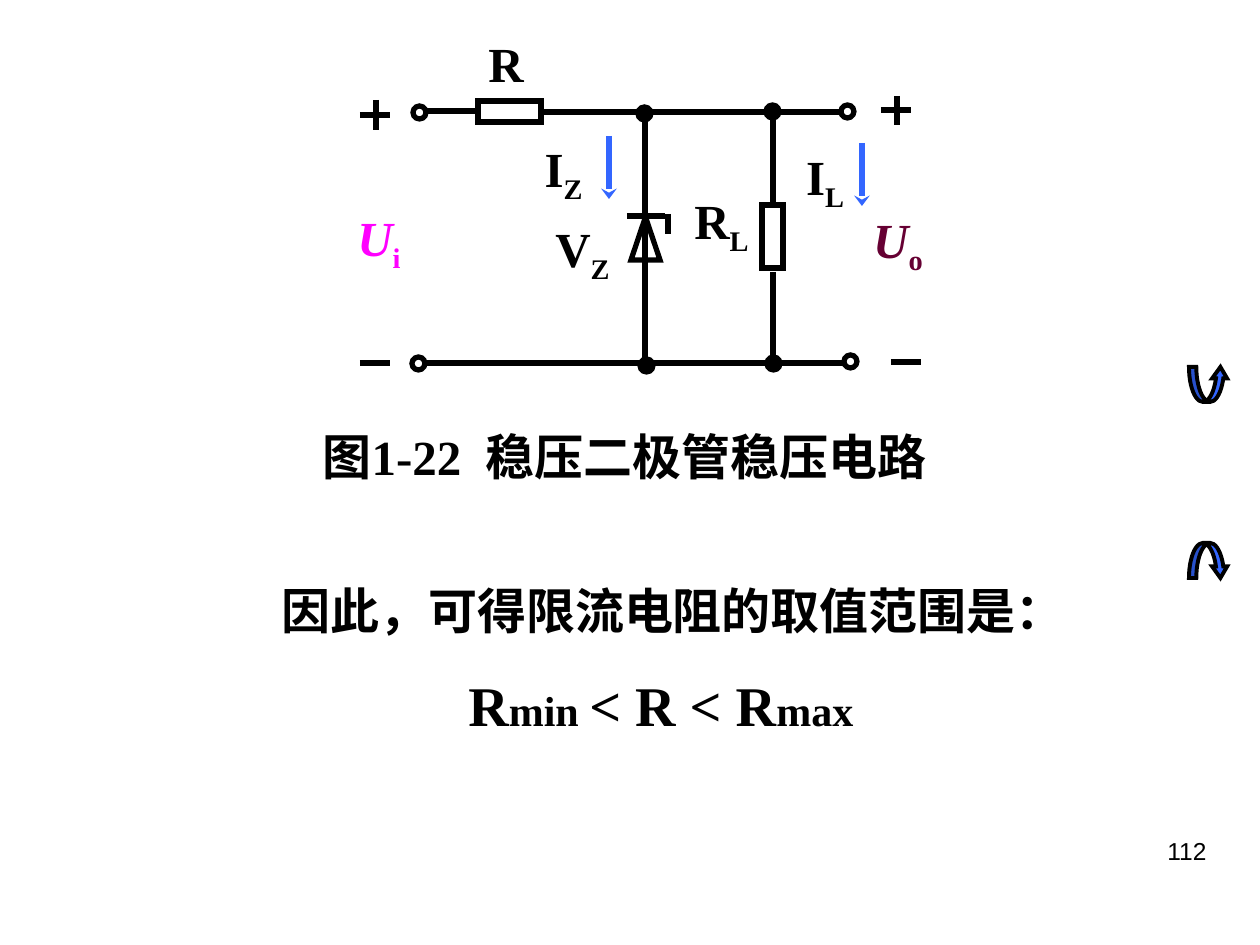
from typing import NamedTuple

from lxml.etree import SubElement
from pptx import Presentation
from pptx.dml.color import RGBColor
from pptx.enum.shapes import MSO_CONNECTOR, MSO_SHAPE
from pptx.enum.text import MSO_ANCHOR, PP_ALIGN
from pptx.oxml.ns import qn
from pptx.util import Emu, Pt

EMU_PER_PX = 914400 / 126

BLACK = RGBColor(0x00, 0x00, 0x00)
BLUE = RGBColor(0x33, 0x66, 0xFF)
MAGENTA = RGBColor(0xFF, 0x00, 0xFF)
MAROON = RGBColor(0x66, 0x00, 0x33)

LINE_WIDTH = 3
DOT_SIZE = 13


class Box(NamedTuple):
    left: int
    top: int
    width: int
    height: int


class Line(NamedTuple):
    x1: int
    y1: int
    x2: int
    y2: int


class Label(NamedTuple):
    symbol: str
    subscript: str
    box: Box
    color: RGBColor = BLACK
    italic: bool = False


WIRES = [
    Line(541, 112, 844, 112),  # top rail, right of R
    Line(425, 111, 478, 111),  # top rail, left of R
    Line(425, 363, 844, 363),  # bottom rail
    Line(645, 111, 645, 363),  # diode branch
    Line(773, 111, 773, 205),  # load branch above RL
    Line(773, 272, 773, 363),  # load branch below RL
]
DIODE_BARS = [Line(627, 216, 665, 216), Line(668, 214, 668, 234)]
POLARITY_SIGNS = [
    Line(360, 115, 390, 115), Line(376, 100, 376, 130),  # input plus
    Line(360, 363, 390, 363),  # input minus
    Line(881, 110, 911, 110), Line(897, 96, 897, 125),  # output plus
    Line(891, 362, 921, 362),  # output minus
]
CURRENT_ARROWS = [Line(609, 136, 609, 199), Line(862, 143, 862, 206)]

RESISTORS = [Box(478, 101, 63, 21), Box(762, 205, 21, 63)]
DIODE_BODY = Box(631, 217, 29, 43)
TERMINALS = [(413, 106), (412, 357), (841, 105), (844, 355)]
JUNCTIONS = [(638, 107), (640, 359), (766, 105), (767, 357)]

LABELS = [
    Label("R", "", Box(466, 27, 80, 72)),
    Label("I", "Z", Box(523, 132, 81, 79)),
    Label("V", "Z", Box(533, 212, 99, 79)),
    Label("I", "L", Box(780, 140, 90, 79)),
    Label("R", "L", Box(671, 184, 101, 79)),
    Label("U", "i", Box(333, 201, 92, 79), MAGENTA, True),
    Label("U", "o", Box(848, 203, 100, 79), MAROON, True),
]

NAVIGATION_ARROWS = [
    (MSO_SHAPE.CURVED_DOWN_ARROW, Box(1189, 543, 39, 35)),
    (MSO_SHAPE.CURVED_UP_ARROW, Box(1189, 367, 39, 35)),
]


def px(length: int) -> Emu:
    return Emu(round(length * EMU_PER_PX))


def add_outline_shape(slide, kind, box: Box, fill=None, line_width=LINE_WIDTH):
    """Add a black-outlined shape with sharp corners."""
    shape = slide.shapes.add_shape(kind, *map(px, box))
    shape.shadow.inherit = False
    if fill is None:
        shape.fill.background()
    else:
        shape.fill.solid()
        shape.fill.fore_color.rgb = fill
    shape.line.color.rgb = BLACK
    shape.line.width = Pt(line_width)
    SubElement(shape.line._get_or_add_ln(), qn("a:miter"), lim="800000")
    return shape


def add_line(slide, line: Line, color=BLACK, arrow=False) -> None:
    connector = slide.shapes.add_connector(
        MSO_CONNECTOR.STRAIGHT, *map(px, line))
    connector.line.color.rgb = color
    connector.line.width = Pt(LINE_WIDTH)
    if arrow:
        SubElement(connector.line._get_or_add_ln(), qn("a:tailEnd"),
                   type="stealth", w="med", len="sm")
    SubElement(connector._element.spPr, qn("a:effectLst"))


def add_paragraph_box(slide, box: Box, *, align=PP_ALIGN.CENTER,
                      anchor=MSO_ANCHOR.MIDDLE, wrap=False):
    """Add a text box and return its empty first paragraph."""
    frame = slide.shapes.add_textbox(*map(px, box)).text_frame
    frame.word_wrap = wrap
    frame.vertical_anchor = anchor
    paragraph = frame.paragraphs[0]
    paragraph.alignment = align
    return paragraph


def add_text(paragraph, text: str, *, size=28, font="Times New Roman",
             color=BLACK, bold=True, italic=False, subscript=False,
             spacing=0) -> None:
    """Add a run; spacing is the extra gap after each letter in points."""
    run = paragraph.add_run()
    run.text = text
    run.font.size = Pt(size)
    run.font.name = font
    run.font.color.rgb = color
    run.font.bold = bold
    run.font.italic = italic
    properties = run._r.get_or_add_rPr()
    if subscript:
        properties.set("baseline", "-25000")
    if spacing:
        properties.set("spc", str(spacing * 100))


def add_label(slide, label: Label) -> None:
    paragraph = add_paragraph_box(slide, label.box)
    add_text(paragraph, label.symbol, color=label.color, italic=label.italic)
    if label.subscript:
        add_text(paragraph, label.subscript, color=label.color, subscript=True)


def draw_navigation(slide) -> None:
    for kind, box in NAVIGATION_ARROWS:
        arrow = add_outline_shape(slide, kind, box, BLUE, 2.25)
        for index, value in enumerate((0.21, 0.43, 0.33)):
            arrow.adjustments[index] = value


def draw_circuit(slide) -> None:
    for line in WIRES + DIODE_BARS + POLARITY_SIGNS:
        add_line(slide, line)
    for line in CURRENT_ARROWS:
        add_line(slide, line, BLUE, arrow=True)
    for box in RESISTORS:
        add_outline_shape(slide, MSO_SHAPE.RECTANGLE, box)
    add_outline_shape(slide, MSO_SHAPE.ISOSCELES_TRIANGLE, DIODE_BODY)
    for positions, fill in ((TERMINALS, None), (JUNCTIONS, BLACK)):
        for left, top in positions:
            dot = Box(left, top, DOT_SIZE, DOT_SIZE)
            add_outline_shape(slide, MSO_SHAPE.OVAL, dot, fill)
    for label in LABELS:
        add_label(slide, label)


def write_text(slide) -> None:
    caption = add_paragraph_box(slide, Box(274, 420, 701, 72))
    add_text(caption, "图1-22")
    add_text(caption, " ", spacing=7)
    add_text(caption, "稳压二极管稳压电路")

    conclusion = add_paragraph_box(slide, Box(252, 574, 842, 72),
                                   anchor=MSO_ANCHOR.TOP, wrap=True)
    add_text(conclusion, "因此，可得限流电阻的取值范围是：")

    formula = add_paragraph_box(slide, Box(456, 664, 446, 81), wrap=True,
                                align=PP_ALIGN.LEFT, anchor=MSO_ANCHOR.TOP)
    for text, size in (("R", 32), ("min ", 24), ("< R < R", 32), ("max", 24)):
        add_text(formula, text, size=size)

    page_number = add_paragraph_box(slide, Box(903, 830, 316, 66), wrap=True,
                                    align=PP_ALIGN.RIGHT, anchor=MSO_ANCHOR.TOP)
    add_text(page_number, "112", size=14, font="Arial", bold=False)


def main() -> None:
    presentation = Presentation()
    presentation.slide_width = px(1260)
    presentation.slide_height = px(945)
    slide = presentation.slides.add_slide(presentation.slide_layouts[6])
    draw_navigation(slide)
    draw_circuit(slide)
    write_text(slide)
    presentation.save("out.pptx")


if __name__ == "__main__":
    main()
